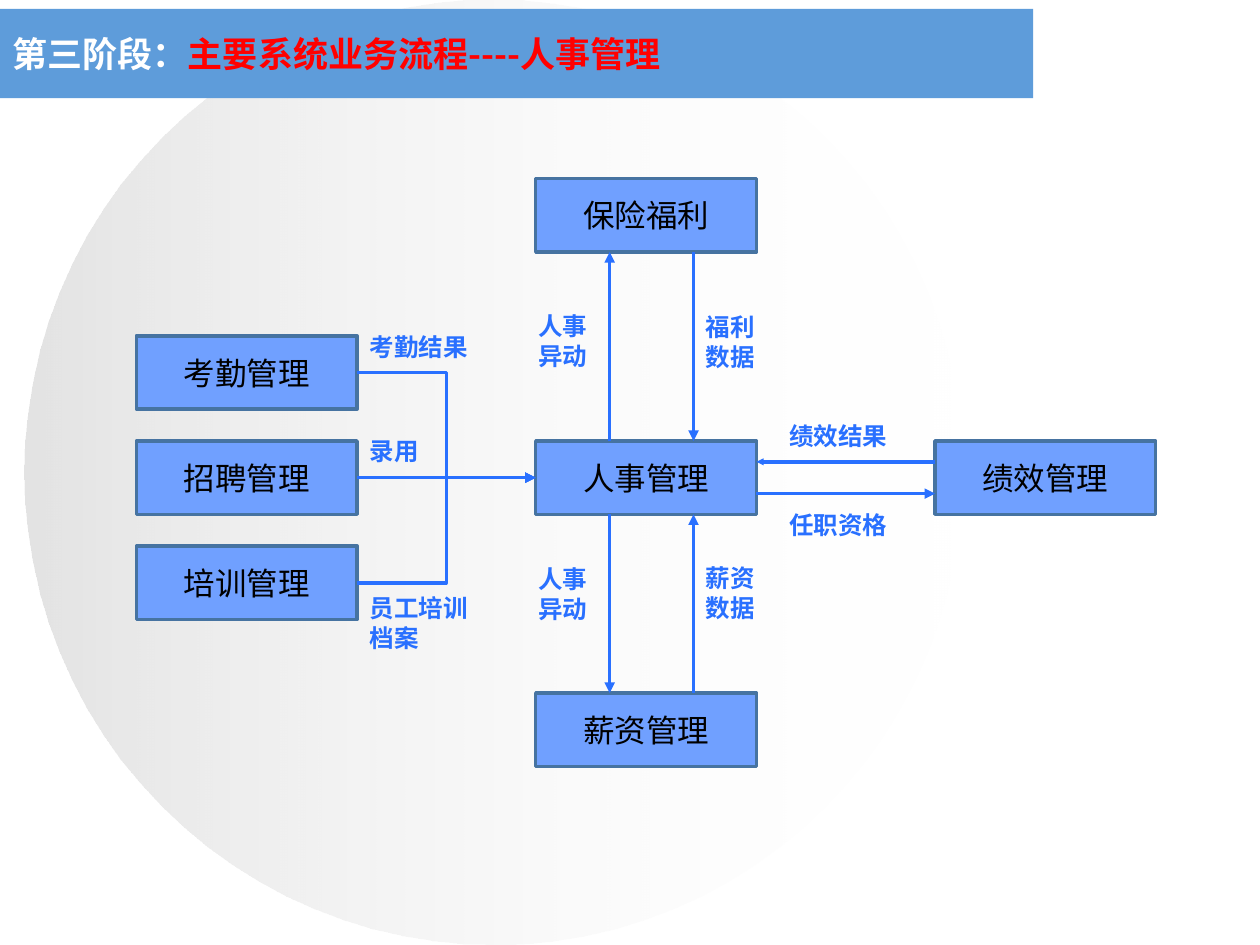
import pptx
import pptx.dml.color
import pptx.enum.dml
import pptx.enum.shapes
import pptx.enum.text
import pptx.oxml.ns
import pptx.util
from lxml import etree

Cm = pptx.util.Cm
qn = pptx.oxml.ns.qn
SHAPE = pptx.enum.shapes.MSO_SHAPE
LINK = pptx.enum.shapes.MSO_CONNECTOR
ANCHOR = pptx.enum.text.MSO_ANCHOR
ALIGN = pptx.enum.text.PP_ALIGN
TOP, LEFT, BOTTOM, RIGHT = range(4)

# Content: title runs as (text, colour name)
TITLE = [("第三阶段：", "white"), ("主要系统业务流程----人事管理", "red")]
# Modules: name -> (column, row)
MODULES = {
    "考勤管理": ("left", "upper"),
    "招聘管理": ("left", "middle"),
    "培训管理": ("left", "lower"),
    "保险福利": ("centre", "top"),
    "人事管理": ("centre", "middle"),
    "薪资管理": ("centre", "bottom"),
    "绩效管理": ("right", "middle"),
}
HUB = "人事管理"
# Inputs join the hub's left side
INPUTS = ["考勤管理", "培训管理", "招聘管理"]
# Other flows: start, end, offset of the line along the facing sides, head size
FLOWS = [
    (HUB, "保险福利", 1.49, "med"),
    ("保险福利", HUB, 3.18, "med"),
    (HUB, "薪资管理", 1.49, "med"),
    ("薪资管理", HUB, 3.18, "med"),
    ("绩效管理", HUB, 0.42, "sm"),
    (HUB, "绩效管理", 1.06, "med"),
]
# Labels: text, left, top, width, height
LABELS = [
    ("考勤结果", 7.2, 6.56, 2.75, 0.86),
    ("录用", 7.2, 8.67, 2.75, 0.86),
    ("员工培训档案", 7.2, 11.84, 2.75, 1.45),
    ("人事异动", 10.6, 6.15, 1.69, 1.45),
    ("福利数据", 13.98, 6.17, 1.69, 1.45),
    ("人事异动", 10.6, 11.25, 1.69, 1.45),
    ("薪资数据", 13.98, 11.23, 1.69, 1.45),
    ("绩效结果", 15.66, 8.36, 2.75, 0.86),
    ("任职资格", 15.66, 10.16, 2.75, 0.86),
]

# Grid in centimetres
COLUMNS = {"left": 2.75, "centre": 10.8, "right": 18.85}
ROWS = {"top": 3.6, "upper": 6.77, "middle": 8.89, "lower": 11.01, "bottom": 13.97}
BOX_WIDTH, BOX_HEIGHT = 4.45, 1.48

THEME = {
    "font": "Noto Sans CJK SC",
    "size": {"title": 20, "module": 18, "label": 14},
    "line": 2,
    "colour": {
        "white": "FFFFFF", "red": "FF0000", "black": "000000", "bar": "5E9CDA",
        "module": "70A0FF", "border": "4673A1", "flow": "2970FF", "disc": "C0C0C0",
    },
}


def colour(name):
    return pptx.dml.color.RGBColor.from_string(THEME["colour"][name])


def write(para, text, role, colour_name, bold):
    span = para.add_run()
    span.text = text
    size = pptx.util.Pt(THEME["size"][role])
    for key, value in {"name": THEME["font"], "size": size, "bold": bold}.items():
        setattr(span.font, key, value)
    span.font.color.rgb = colour(colour_name)
    properties = span.font._element
    etree.SubElement(properties, qn("a:ea"), typeface=THEME["font"])


def format_frame(frame, anchor):
    for key, value in {"word_wrap": True, "vertical_anchor": anchor}.items():
        setattr(frame, key, value)


def add_plain_shape(page, kind, left, top, width, height):
    shape = page.shapes.add_shape(kind, Cm(left), Cm(top), Cm(width), Cm(height))
    shape.shadow.inherit = False
    shape.line.fill.background()
    return shape


def add_backdrop(page):
    disc = add_plain_shape(page, SHAPE.OVAL, 0.5, 0, 18.9, 19.05)
    disc.fill.gradient()
    disc.fill.gradient_angle = 0
    for stop, name, place in zip(disc.fill.gradient_stops, ("disc", "white"), (0, 1)):
        stop.color.rgb = colour(name)
        stop.position = place
    stops = disc._element.spPr.iter(qn("a:srgbClr"))
    for element, opacity in zip(stops, ("44000", "0")):
        etree.SubElement(element, qn("a:alpha"), val=opacity)
    bar = add_plain_shape(page, SHAPE.RECTANGLE, 0, 0.18, 20.83, 1.8)
    bar.fill.solid()
    bar.fill.fore_color.rgb = colour("bar")


def add_title(page):
    title = page.shapes.title
    place = {"left": 0, "top": 0.41, "width": 20.83, "height": 1.35}
    for key, value in place.items():
        setattr(title, key, Cm(value))
    format_frame(title.text_frame, ANCHOR.MIDDLE)
    para = title.text_frame.paragraphs[0]
    para.alignment = ALIGN.LEFT
    for text, name in TITLE:
        write(para, text, "title", name, True)
    page.shapes._spTree.append(title._element)  # bring in front of the bar


def add_module(page, name, column, row):
    box = add_plain_shape(page, SHAPE.RECTANGLE, COLUMNS[column], ROWS[row],
                          BOX_WIDTH, BOX_HEIGHT)
    box.fill.solid()
    box.fill.fore_color.rgb = colour("module")
    box.line.color.rgb = colour("border")
    box.line.width = pptx.util.Pt(THEME["line"])
    format_frame(box.text_frame, ANCHOR.MIDDLE)
    para = box.text_frame.paragraphs[0]
    para.alignment = ALIGN.CENTER
    write(para, name, "module", "black", False)
    return box


def add_arrow(page, kind, start, end, head="med"):
    arrow = page.shapes.add_connector(kind, *start, *end)
    arrow.line.color.rgb = colour("flow")
    arrow.line.width = pptx.util.Pt(THEME["line"])
    etree.SubElement(arrow.line._get_or_add_ln(), qn("a:tailEnd"),
                     type="triangle", w=head, len=head)
    etree.SubElement(arrow._element.spPr, qn("a:effectLst"))
    return arrow


def add_input(page, source, hub):
    start = (source.left + source.width, source.top + source.height // 2)
    end = (hub.left, hub.top + hub.height // 2)
    kind = LINK.STRAIGHT if source.top == hub.top else LINK.ELBOW
    arrow = add_arrow(page, kind, start, end)
    arrow.begin_connect(source, RIGHT)
    arrow.end_connect(hub, LEFT)


def add_flow(page, source, target, offset, head):
    if source.left == target.left:
        x = source.left + Cm(offset)
        down = source.top < target.top
        start = (x, source.top + source.height * down)
        end = (x, target.top + target.height * (not down))
    else:
        y = source.top + Cm(offset)
        rightward = source.left < target.left
        start = (source.left + source.width * rightward, y)
        end = (target.left + target.width * (not rightward), y)
    add_arrow(page, LINK.STRAIGHT, start, end, head)


def add_label(page, text, *place):
    label = page.shapes.add_textbox(*map(Cm, place))
    format_frame(label.text_frame, ANCHOR.TOP)
    write(label.text_frame.paragraphs[0], text, "label", "flow", True)


def main():
    deck = pptx.Presentation()
    deck.slide_width, deck.slide_height = Cm(25.4), Cm(19.05)
    page = deck.slides.add_slide(deck.slide_layouts[5])
    add_backdrop(page)
    add_title(page)
    boxes = {name: add_module(page, name, *cell) for name, cell in MODULES.items()}
    for name in INPUTS:
        add_input(page, boxes[name], boxes[HUB])
    for source, target, offset, head in FLOWS:
        add_flow(page, boxes[source], boxes[target], offset, head)
    for label in LABELS:
        add_label(page, *label)
    deck.save("out.pptx")


if __name__ == "__main__":
    main()
